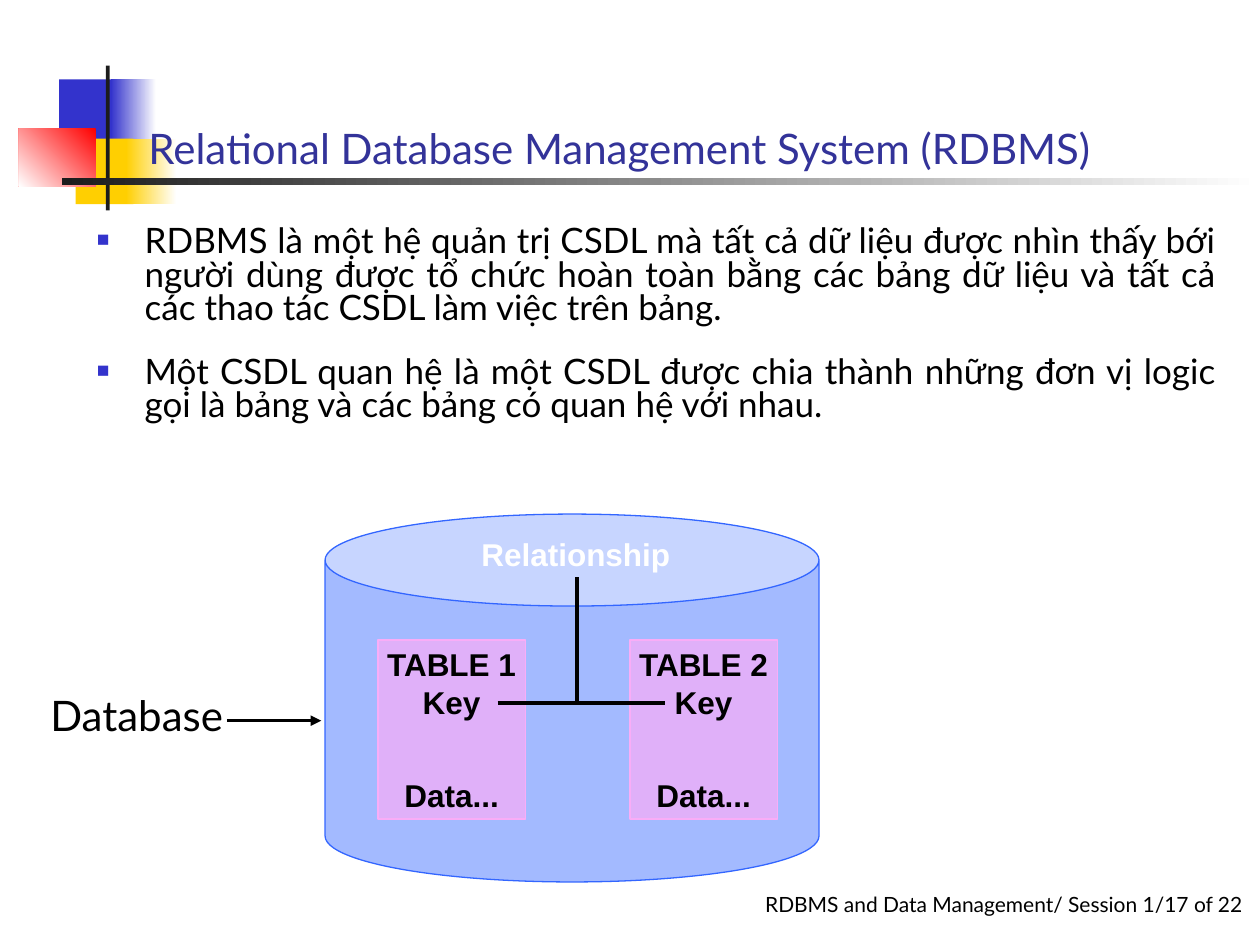
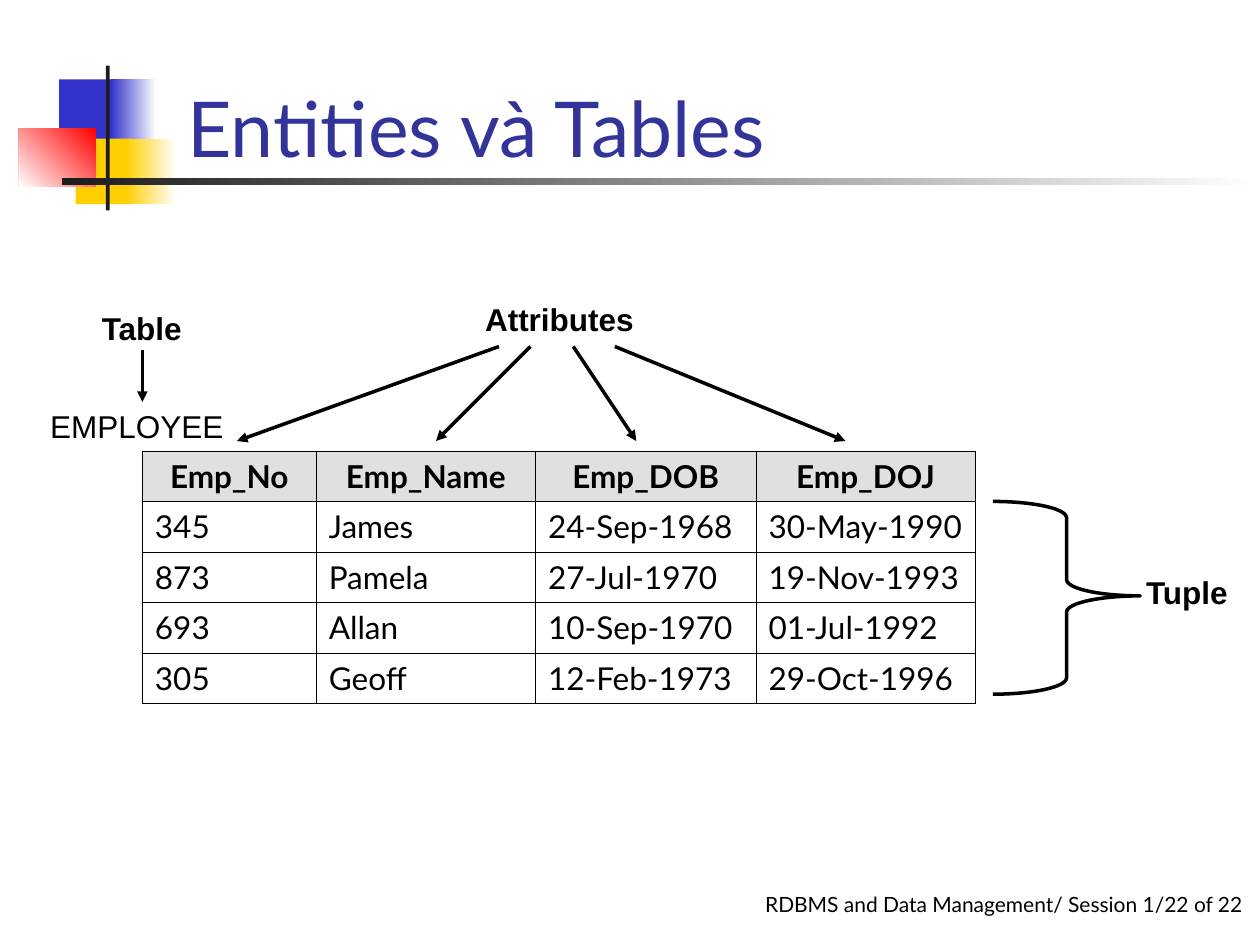
from lxml import etree
from pptx import Presentation
from pptx.dml.color import RGBColor
from pptx.enum.shapes import MSO_CONNECTOR, MSO_SHAPE
from pptx.enum.text import MSO_ANCHOR, PP_ALIGN
from pptx.oxml.ns import qn
from pptx.util import Inches, Pt

RECTANGLE, CAN, BRACE = MSO_SHAPE.RECTANGLE, MSO_SHAPE.CAN, MSO_SHAPE.RIGHT_BRACE
STRAIGHT = MSO_CONNECTOR.STRAIGHT
LEFT, CENTER, JUSTIFY = PP_ALIGN.LEFT, PP_ALIGN.CENTER, PP_ALIGN.JUSTIFY
TOP, MIDDLE, BOTTOM = MSO_ANCHOR.TOP, MSO_ANCHOR.MIDDLE, MSO_ANCHOR.BOTTOM

# Colours and type
BLACK = RGBColor(0, 0, 0)
WHITE = RGBColor(255, 255, 255)
BLUE = RGBColor(0x33, 0x33, 0xCC)
YELLOW = RGBColor(0xFF, 0xCF, 0x01)
RED = RGBColor(0xFF, 0, 0)
CHARCOAL = RGBColor(0x1C, 0x1C, 0x1C)
TITLE_BLUE = RGBColor(0x33, 0x33, 0x99)
CAN_BLUE = RGBColor(0x33, 0x66, 0xFF)
PINK = RGBColor(0xF9, 0xAD, 0xF7)
HEADER_GRAY = RGBColor(0xE0, 0xE0, 0xE0)
BODY_FONT, LABEL_FONT = "Lato", "Arial"
LINE_WIDTH, OUTLINE_WIDTH, BORDER_WIDTH = 2, 0.75, 0.45

# Content
FOOTER = "RDBMS and Data Management/ Session 1/{} of 22"
BULLETS = [
    "RDBMS là một hệ quản trị CSDL mà tất cả dữ liệu được nhìn thấy bới "
    "người dùng được tổ chức hoàn toàn bằng các bảng dữ liệu và tất cả "
    "các thao tác CSDL làm việc trên bảng.",
    "Một CSDL quan hệ là một CSDL được chia thành những đơn vị logic "
    "gọi là bảng và các bảng có quan hệ với nhau.",
]
RELATED_TABLES = ["TABLE 1", "TABLE 2"]
EMPLOYEES = [
    ("Emp_No", "Emp_Name", "Emp_DOB", "Emp_DOJ"),
    ("345", "James", "24-Sep-1968", "30-May-1990"),
    ("873", "Pamela", "27-Jul-1970", "19-Nov-1993"),
    ("693", "Allan", "10-Sep-1970", "01-Jul-1992"),
    ("305", "Geoff", "12-Feb-1973", "29-Oct-1996"),
]
COLUMN_WIDTHS = [1.38, 1.74, 1.75, 1.74]
ROW_HEIGHT = 0.4
ATTRIBUTE_ARROWS = [(3.96, 1.88), (4.21, 3.46), (4.55, 5.05), (4.88, 6.71)]

# Title ornament: place, colours (two make a gradient), gradient angle
ORNAMENT = [
    ((0.47, 0.63, 0.48, 0.52), [BLUE], 0),
    ((0.88, 0.63, 0.36, 0.52), [WHITE, BLUE], 180),
    ((0.6, 1.1, 0.46, 0.52), [YELLOW], 0),
    ((1, 1.1, 0.4, 0.52), [WHITE, YELLOW], 180),
    ((0.15, 1.02, 0.61, 0.46), [RED, WHITE], 225),
    ((0.84, 0.52, 0.03, 1.15), [CHARCOAL], 0),
    ((0.49, 1.41, 9.51, 0.06), [WHITE, CHARCOAL], 180),
]

deck = Presentation()
deck.slide_width, deck.slide_height = Inches(10), Inches(7.5)


def inches(values):
    return [Inches(value) for value in values]


def child(parent, tag, **attributes):
    return etree.SubElement(parent, qn(tag), attributes)


def style(para, size, color=BLACK, name=BODY_FONT, bold=False, align=LEFT):
    para.alignment = align
    font = para.font
    font.size, font.name, font.bold = Pt(size), name, bold
    font.color.rgb = color


def add_text(page, place, lines, size, anchor=TOP, bulleted=False, **look):
    frame = page.shapes.add_textbox(*inches(place)).text_frame
    frame.word_wrap = True
    frame.vertical_anchor = anchor
    for index, line in enumerate(lines):
        para = frame.add_paragraph() if index else frame.paragraphs[0]
        para.text = line
        if bulleted:
            add_bullet(para)
        style(para, size, **look)
    return frame


def add_bullet(para):
    para.line_spacing, para.space_before = 0.8, Pt(17)
    properties = para._p.get_or_add_pPr()
    properties.set("marL", str(Inches(0.38)))
    properties.set("indent", str(Inches(-0.38)))
    child(child(properties, "a:buClr"), "a:srgbClr", val=str(BLUE))
    child(properties, "a:buSzPct", val="60000")
    child(properties, "a:buFont", typeface=LABEL_FONT)
    child(properties, "a:buChar", char="■")


def add_label(page, place, text, bold=True, **look):
    add_text(page, place, [text], 18, name=LABEL_FONT, bold=bold, **look)


def add_shape(page, kind, place):
    shape = page.shapes.add_shape(kind, *inches(place))
    shape.shadow.inherit = False
    return shape


def tint(shape, color, opacity):
    """Translucent fill with a solid outline of the same colour."""
    shape.fill.solid()
    shape.fill.fore_color.rgb = color
    solid = shape._element.spPr.find(qn("a:solidFill"))
    child(solid[0], "a:alpha", val=str(opacity * 1000))
    shape.line.color.rgb = color
    shape.line.width = Pt(OUTLINE_WIDTH)


def add_line(page, start, end, arrow=False):
    line = page.shapes.add_connector(STRAIGHT, *inches(start + end))
    line.line.color.rgb = BLACK
    line.line.width = Pt(LINE_WIDTH)
    if arrow:
        child(line.line._get_or_add_ln(), "a:tailEnd", type="triangle")
    child(line._element.spPr, "a:effectLst")


def add_page(title, title_left, title_size, number):
    page = deck.slides.add_slide(deck.slide_layouts[6])
    add_text(page, (5.92, 7.03, 4, 0.53), [FOOTER.format(number)], 12,
             align=CENTER).margin_right = 0
    for place, colors, angle in ORNAMENT:
        block = add_shape(page, RECTANGLE, place)
        block.line.fill.background()
        if len(colors) == 1:
            block.fill.solid()
            block.fill.fore_color.rgb = colors[0]
        else:
            block.fill.gradient()
            block.fill.gradient_angle = angle
            for stop, color in zip(block.fill.gradient_stops, colors):
                stop.color.rgb = color
    add_text(page, (title_left, 0.17, 9.91 - title_left, 1.25), [title],
             title_size, anchor=BOTTOM, color=TITLE_BLUE)
    return page


def add_related_table(page, left, name):
    card = add_shape(page, RECTANGLE, (left, 5.08, 1.17, 1.42))
    tint(card, PINK, 71)
    frame = card.text_frame
    frame.word_wrap = False
    frame.vertical_anchor = MIDDLE
    for index, line in enumerate([name, "Key", "Data..."]):
        para = frame.add_paragraph() if index else frame.paragraphs[0]
        para.text = line
        style(para, 18, name=LABEL_FONT, bold=True, align=CENTER)
    para.space_before = Pt(32)


def add_employee_table(page, left, top):
    rows, columns = len(EMPLOYEES), len(COLUMN_WIDTHS)
    size = (sum(COLUMN_WIDTHS), rows * ROW_HEIGHT)
    table = page.shapes.add_table(rows, columns, *inches((left, top) + size)).table
    table.first_row = table.horz_banding = False
    for column, width in zip(table.columns, COLUMN_WIDTHS):
        column.width = Inches(width)
    for row_index, record in enumerate(EMPLOYEES):
        header = row_index == 0
        for column_index, value in enumerate(record):
            cell = table.cell(row_index, column_index)
            properties = cell._tc.get_or_add_tcPr()
            for side in ("a:lnL", "a:lnR", "a:lnT", "a:lnB"):
                border = child(properties, side, w=str(Pt(BORDER_WIDTH)))
                child(child(border, "a:solidFill"), "a:srgbClr", val=str(BLACK))
            if header:
                cell.fill.solid()
                cell.fill.fore_color.rgb = HEADER_GRAY
            else:
                cell.fill.background()
            para = cell.text_frame.paragraphs[0]
            para.text = value
            style(para, 18, bold=header, align=CENTER if header else JUSTIFY)


# Slide 1: relational database
page = add_page("Relational Database Management System (RDBMS)", 1.08, 24, 17)
add_text(page, (0.67, 1.75, 9.08, 2.08), BULLETS, 20, bulleted=True, align=JUSTIFY)
database = add_shape(page, CAN, (2.58, 4.08, 3.92, 2.92))
database.adjustments[0] = 0.25
tint(database, CAN_BLUE, 45)
for index, name in enumerate(RELATED_TABLES):
    add_related_table(page, 3 + 2 * index, name)
add_label(page, (3.61, 4.2, 1.92, 0.4), "Relationship", color=WHITE, align=CENTER)
add_line(page, (3.95, 5.58), (5.28, 5.58))
add_line(page, (4.58, 5.58), (4.58, 4.58))
add_text(page, (0.25, 5.42, 1.67, 0.9), ["Database"], 24, align=CENTER)
add_line(page, (1.8, 5.72), (2.55, 5.72), arrow=True)

# Slide 2: parts of a table
page = add_page("Entities và Tables", 1.39, 44, 22)
add_employee_table(page, 1.13, 3.58)
add_label(page, (2.98, 2.33, 2.92, 0.4), "Attributes", align=CENTER)
for start, end in ATTRIBUTE_ARROWS:
    add_line(page, (start, 2.75), (end, 3.5), arrow=True)
add_label(page, (0.3, 3.18, 1.67, 0.4), "EMPLOYEE", bold=False)
add_label(page, (0.25, 2.4, 1.75, 0.4), "Table", align=CENTER)
add_line(page, (1.13, 2.78), (1.13, 3.19), arrow=True)
brace = add_shape(page, BRACE, (7.88, 3.98, 1.17, 1.53))
brace.adjustments[0], brace.adjustments[1] = 0.11, 0.49
brace.fill.background()
brace.line.color.rgb = BLACK
brace.line.width = Pt(LINE_WIDTH)
add_label(page, (8.63, 4.5, 1.58, 0.4), "Tuple", align=CENTER)

deck.save("out.pptx")
